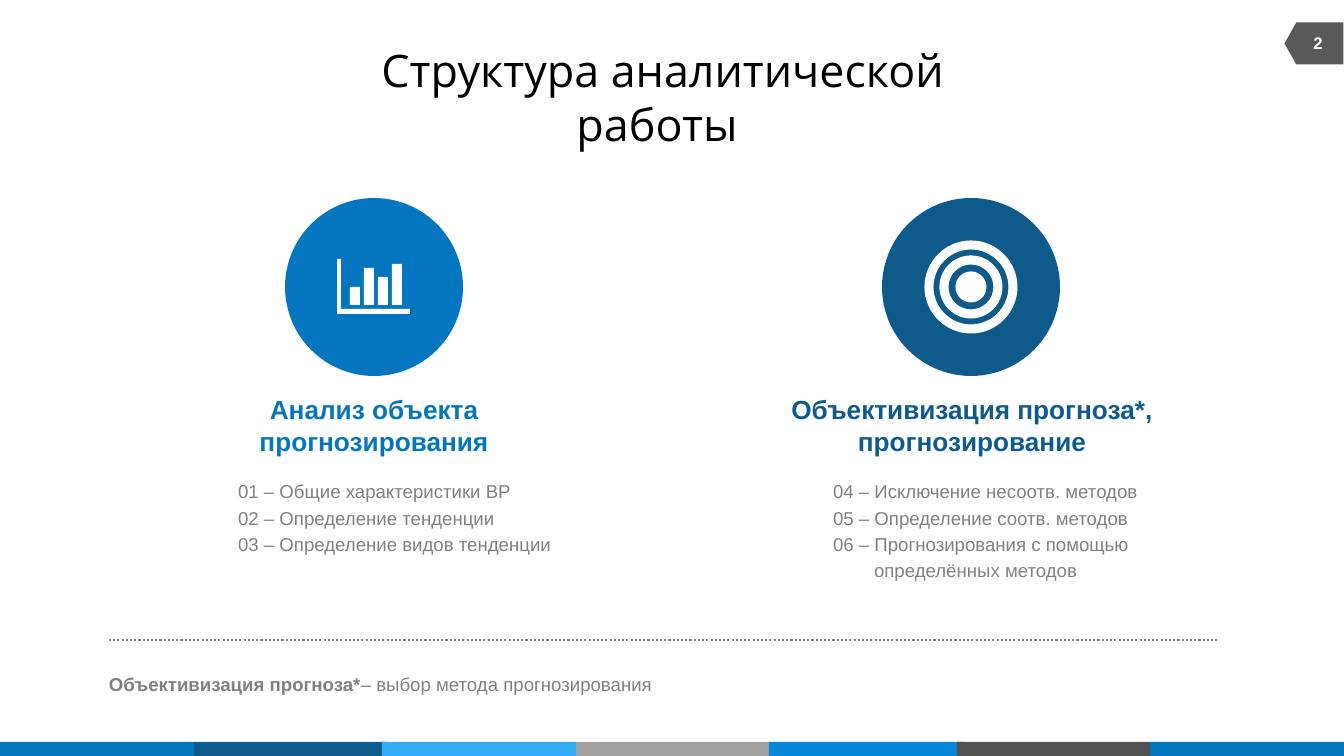
from pptx import Presentation, util as u
from pptx.dml.color import RGBColor
from pptx.enum import dml, shapes, text
from pptx.oxml.ns import qn
from lxml import etree

# Content, with lengths in px
W, H = 1344, 756
SCALE = 12700 * 72 / 100.8
C = {"blue": "0476BF", "navy": "0E5A8B", "sky": "32ACFA", "silver": "A1A1A1",
     "azure": "0588DB", "dark": "525252", "tag": "595959", "gray": "808080",
     "white": "FFFFFF", "black": "000000"}
TITLE = "Структура аналитической работы "
PAGE = "2"
NOTE = [("Объективизация прогноза*", True),
        ("– выбор метода прогнозирования", False)]
COLUMNS = [
    {"color": "blue", "circle": 285, "head": "Анализ объекта прогнозирования",
     "head_at": (229, 388, 290, 74), "list_at": (228, 475, 340, 87),
     "items": [("01 – Общие характеристики ВР", 0),
               ("02 – Определение тенденции", 0),
               ("03 – Определение видов тенденции", 0)]},
    {"color": "navy", "circle": 882, "head": "Объективизация прогноза*, прогнозирование",
     "head_at": (775, 388, 394, 74), "list_at": (823, 475, 500, 114),
     "items": [("04 – Исключение несоотв. методов", 0),
               ("05 – Определение соотв. методов", 0),
               ("06 – Прогнозирования с помощью", 0),
               ("определённых методов", 41)]},
]
STRIPES = [(0, "blue"), (194, "navy"), (382, "sky"), (576, "silver"),
           (769, "azure"), (957, "dark"), (1150, "blue")]
STRIPE_W = 194
CIRCLE_TOP, CIRCLE = 198, 178
AXES = [(410, 314), (337, 314), (337, 259), (341, 259), (341, 309), (410, 309)]
BARS = [(350, 287), (364, 268), (378, 277), (392, 264)]
BAR_W, BAR_BOTTOM = 10, 305
TARGET, RADII = (971, 287), [46, 38, 31, 23, 15]
K = 0.55  # Bezier handle of a quarter circle
CIRCLE_POINTS = [(1, 0), (1, K), (K, 1), (0, 1), (-K, 1), (-1, K), (-1, 0),
                 (-1, -K), (-K, -1), (0, -1), (K, -1), (1, -K), (1, 0)]


def px(n):
    return u.Emu(round(n * SCALE))


def rgb(name):
    return RGBColor.from_string(C[name])


def place(sp, at):
    sp.left, sp.top, sp.width, sp.height = map(px, at)


def paint(sp, color):
    sp.shadow.inherit = False
    sp.fill.solid()
    sp.fill.fore_color.rgb = rgb(color)
    sp.line.fill.background()
    return sp


def add_preset(kind, at, color):
    return paint(s.shapes.add_shape(kind, *map(px, at)), color)


def add_outline(contours):
    first, *rest = [[(px(x), px(y)) for x, y in c] for c in contours]
    fb = s.shapes.build_freeform(*first[0], scale=1.0)
    fb.add_line_segments(first[1:], close=True)
    for contour in rest:
        fb.move_to(*contour[0])
        fb.add_line_segments(contour[1:], close=True)
    return paint(fb.convert_to_shape(), "white")


def curve(sp):
    """Turn every three line segments into one Bezier segment."""
    lines = list(sp._element.iter(qn("a:lnTo")))
    for i in range(0, len(lines), 3):
        bezier = etree.Element(qn("a:cubicBezTo"))
        lines[i].addprevious(bezier)
        for line in lines[i:i + 3]:
            bezier.append(line[0])
            line.getparent().remove(line)


def setup(sp, anchor=text.MSO_ANCHOR.TOP, inset=None):
    tf = sp.text_frame
    tf.word_wrap = True
    tf.auto_size = text.MSO_AUTO_SIZE.NONE
    tf.vertical_anchor = anchor
    if inset is not None:
        tf.margin_left = tf.margin_top = tf.margin_right = tf.margin_bottom = inset
    return tf


def style(p, size, color, bold=False, font="Arial", align=text.PP_ALIGN.CENTER,
          spacing=None, before=0):
    p.alignment = align
    p.space_before = u.Pt(before)
    if spacing:
        p.line_spacing = u.Pt(spacing)
    for r in p.runs:
        r.font.name, r.font.size, r.font.bold = font, u.Pt(size), bold
        r.font.color.rgb = rgb(color)


def unbullet(p, left):
    pPr = p._p.get_or_add_pPr()
    pPr.set("marL", str(px(left)))
    pPr.set("indent", "0")
    etree.SubElement(pPr, qn("a:buNone"))


prs = Presentation()
prs.slide_width, prs.slide_height = px(W), px(H)
s = prs.slides.add_slide(prs.slide_layouts[4])
title, *bodies = s.placeholders

# Bottom stripes
for x, color in STRIPES:
    add_preset(shapes.MSO_SHAPE.RECTANGLE, (x, 742, STRIPE_W, 14), color)

# Page number
tag = add_preset(shapes.MSO_SHAPE.FLOWCHART_OFFPAGE_CONNECTOR, (1293, 14, 42, 59), "tag")
tag.rotation = 90
number = s.shapes.add_textbox(*map(px, (1292, 22, 52, 42)))
tf = setup(number, text.MSO_ANCHOR.MIDDLE)
tf.text = PAGE
style(tf.paragraphs[0], 12, "white", bold=True)

# Title
place(title, (362, 42, 602, 108))
tf = setup(title, inset=0)
tf.text = TITLE
style(tf.paragraphs[0], 32, "black", font="Open Sans", spacing=38.6)

# Columns: heading, list and circle
for col, head, items in zip(COLUMNS, bodies[::2], bodies[1::2]):
    place(head, col["head_at"])
    tf = setup(head)
    tf.text = col["head"]
    style(tf.paragraphs[0], 18.7, col["color"], bold=True, spacing=22.9)

    place(items, col["list_at"])
    tf = setup(items)
    tf.text = "\n".join(line for line, _ in col["items"])
    for p, (_, left) in zip(tf.paragraphs, col["items"]):
        style(p, 13.3, "gray", align=text.PP_ALIGN.LEFT, spacing=16.1, before=2.6)
        unbullet(p, left)

    add_preset(shapes.MSO_SHAPE.OVAL, (col["circle"], CIRCLE_TOP, CIRCLE, CIRCLE), col["color"])

# Bar chart icon
add_outline([AXES] + [[(x, BAR_BOTTOM), (x, y), (x + BAR_W, y), (x + BAR_W, BAR_BOTTOM)]
                      for x, y in BARS])

# Target icon
target = add_outline([[(TARGET[0] + r * x, TARGET[1] + r * y) for x, y in CIRCLE_POINTS]
                      for r in RADII])
curve(target)
target.line.color.rgb = rgb("white")
target.line.width = u.Pt(0.75)

# Dotted rule
rule = s.shapes.add_connector(shapes.MSO_CONNECTOR.STRAIGHT, px(109), px(640), px(1217), px(640))
rule.line.color.rgb = rgb("gray")
rule.line.width = u.Pt(1.5)
rule.line.dash_style = dml.MSO_LINE.ROUND_DOT
etree.SubElement(rule._element.spPr, qn("a:effectLst"))

# Footnote
note = s.shapes.add_textbox(*map(px, (109, 673, 1108, 23)))
p = setup(note, inset=0).paragraphs[0]
for words, _ in NOTE:
    p.add_run().text = words
style(p, 13.3, "gray", align=text.PP_ALIGN.LEFT, spacing=16.1)
for r, (_, bold) in zip(p.runs, NOTE):
    r.font.bold = bold

prs.save("out.pptx")
